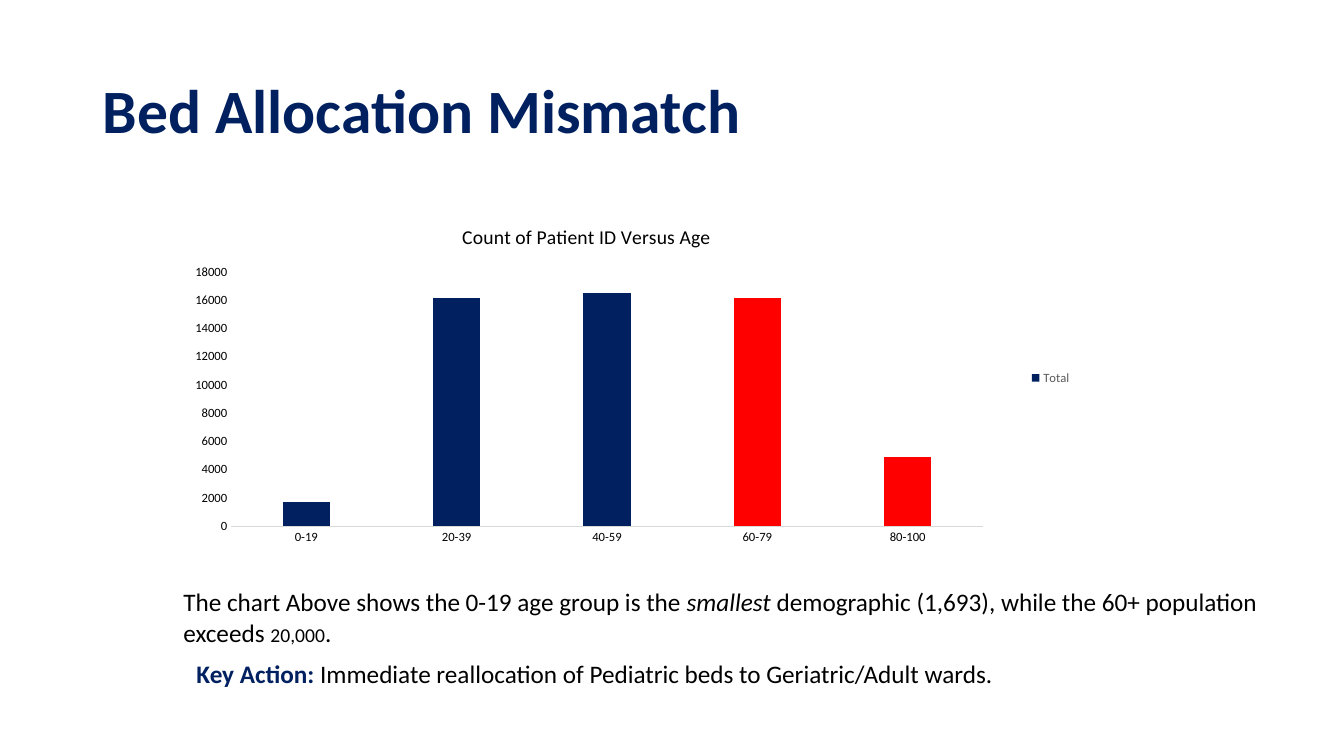
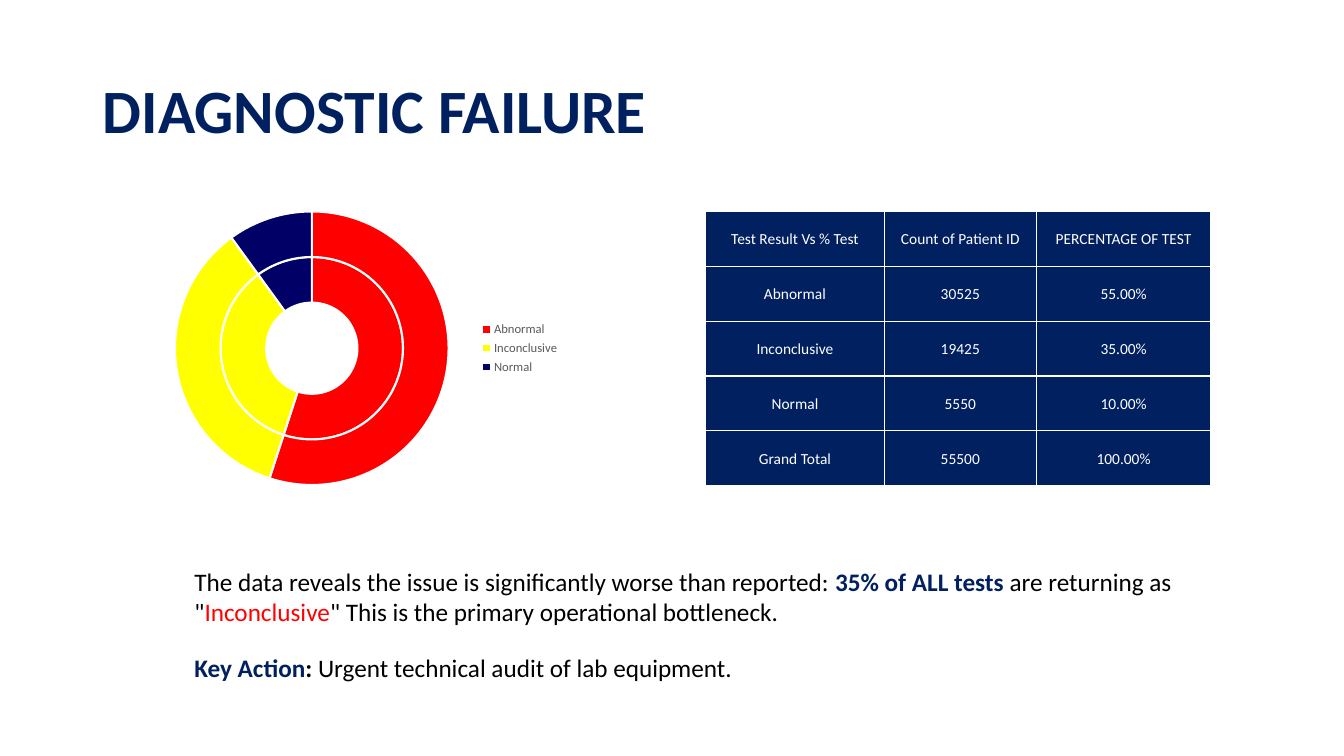
"""Builds two slides on hospital bed allocation and diagnostic results."""
from dataclasses import dataclass

from lxml import etree
from pptx import Presentation
from pptx.chart.data import CategoryChartData
from pptx.dml.color import RGBColor
from pptx.enum.chart import XL_CHART_TYPE, XL_LEGEND_POSITION, XL_TICK_MARK
from pptx.enum.text import MSO_ANCHOR, MSO_AUTO_SIZE, PP_ALIGN
from pptx.oxml import parse_xml
from pptx.oxml.ns import nsdecls, qn
from pptx.util import Inches, Pt

COLUMN = XL_CHART_TYPE.COLUMN_CLUSTERED
DOUGHNUT = XL_CHART_TYPE.DOUGHNUT
LEGEND_RIGHT = XL_LEGEND_POSITION.RIGHT
NO_TICK = XL_TICK_MARK.NONE
MIDDLE = MSO_ANCHOR.MIDDLE
LEFT, CENTER = PP_ALIGN.LEFT, PP_ALIGN.CENTER
NO_AUTOFIT, GROW = MSO_AUTO_SIZE.NONE, MSO_AUTO_SIZE.SHAPE_TO_FIT_TEXT
TITLE_ONLY = 5


@dataclass(frozen=True)
class Theme:
    """Colours, font and type sizes shared by the deck."""
    font: str = "Calibri"
    navy: str = "002060"
    indigo: str = "000066"
    red: str = "FF0000"
    yellow: str = "FFFF00"
    white: str = "FFFFFF"
    black: str = "000000"
    grey: str = "595959"
    rule: str = "D9D9D9"
    title: int = 44
    body: int = 18
    small: int = 14
    table: int = 11
    chart: int = 10
    label: int = 9


THEME = Theme()


def set_font(font, size=THEME.body, color=THEME.black, bold=False, italic=False):
    """Apply the deck font with the given format."""
    font.name, font.size = THEME.font, Pt(size)
    font.bold, font.italic = bold, italic
    font.color.rgb = RGBColor.from_string(color)


def write(para, text, **style):
    """Add a formatted span of text to a paragraph."""
    span = para.add_run()
    span.text = text
    set_font(span.font, **style)


def paint(fill, color):
    """Set a solid fill colour."""
    fill.solid()
    fill.fore_color.rgb = RGBColor.from_string(color)


def draw_line(line, color, width):
    """Set the colour and width of an outline."""
    line.color.rgb = RGBColor.from_string(color)
    line.width = Pt(width)


def add_page(deck, heading):
    """Add a slide with the shared title style."""
    page = deck.slides.add_slide(deck.slide_layouts[TITLE_ONLY])
    title = page.shapes.title
    title.left, title.top = Inches(0.92), Inches(0.4)
    title.width, title.height = Inches(11.5), Inches(1.45)
    frame = title.text_frame
    frame.auto_size, frame.vertical_anchor = NO_AUTOFIT, MIDDLE
    para = frame.paragraphs[0]
    para.alignment, para.line_spacing = LEFT, 0.9
    write(para, heading, size=THEME.title, color=THEME.navy, bold=True)
    return page


def add_remark(page, box, spans):
    """Place a paragraph made of (text, format) spans in a box."""
    frame = page.shapes.add_textbox(*map(Inches, box)).text_frame
    frame.word_wrap, frame.auto_size = True, GROW
    for text, style in spans:
        write(frame.paragraphs[0], text, **style)


def add_chart(page, box, kind, categories, series):
    """Place a chart with the shared font and a legend on the right."""
    data = CategoryChartData()
    data.categories = categories
    for name, values in series:
        data.add_series(name, values)
    chart = page.shapes.add_chart(kind, *map(Inches, box), data).chart
    set_font(chart.font, size=THEME.chart)
    chart.has_title = False
    chart.has_legend = True
    chart.legend.position = LEGEND_RIGHT
    chart.legend.include_in_layout = False
    set_font(chart.legend.font, size=THEME.label, color=THEME.grey)
    return chart


def set_layout(parent, **parts):
    """Give a chart part a manual layout in fractions of the chart."""
    layout = parent.find(qn("c:layout"))
    if layout is None:
        layout = parse_xml(f"<c:layout {nsdecls('c')}/>")
        text = parent.find(qn("c:tx"))
        parent.insert(0 if text is None else parent.index(text) + 1, layout)
    manual = etree.SubElement(layout, qn("c:manualLayout"))
    for tag, value in parts.items():
        etree.SubElement(manual, qn(f"c:{tag}")).set("val", str(value))


def add_age_chart(page, box):
    """Place the column chart of patients by age group."""
    ages = ["0-19", "20-39", "40-59", "60-79", "80-100"]
    counts = [1700, 16200, 16500, 16200, 4900]
    chart = add_chart(page, box, COLUMN, ages, [("Total", counts)])
    title = chart.chart_title
    write(title.text_frame.paragraphs[0], "Count of Patient ID Versus Age", size=THEME.small)
    set_layout(title._element, xMode="edge", yMode="edge", x=0.37, y=0.05)
    set_layout(chart._chartSpace.chart.plotArea, layoutTarget="inner", xMode="edge",
               yMode="edge", x=0.14, y=0.2, w=0.76, h=0.72)
    for axis in (chart.category_axis, chart.value_axis):
        axis.has_major_gridlines = False
        axis.major_tick_mark = axis.minor_tick_mark = NO_TICK
        set_font(axis.tick_labels.font, size=THEME.label)
    draw_line(chart.category_axis.format.line, THEME.rule, 0.75)
    scale = chart.value_axis
    scale.format.line.fill.background()
    scale.minimum_scale, scale.maximum_scale, scale.major_unit = 0, 18000, 2000
    plot = chart.plots[0]
    plot.vary_by_categories = False
    plot.gap_width, plot.overlap = 219, -27
    columns = plot.series[0]
    columns.invert_if_negative = False
    paint(columns.format.fill, THEME.navy)
    for index in (3, 4):
        paint(columns.points[index].format.fill, THEME.red)


def add_result_chart(page, box):
    """Place the two-ring doughnut of test results."""
    shares = [55, 35, 10]
    chart = add_chart(page, box, DOUGHNUT, ["Abnormal", "Inconclusive", "Normal"],
                      [("Series 1", shares), ("Series 2", shares)])
    plot = chart.plots[0]
    plot.has_data_labels = False
    plot.vary_by_categories = True
    plot._element.find(qn("c:holeSize")).set("val", "75")
    for ring in plot.series:
        for index, color in enumerate((THEME.red, THEME.yellow, THEME.indigo)):
            slice_format = ring.points[index].format
            paint(slice_format.fill, color)
            draw_line(slice_format.line, THEME.white, 1.5)


def format_cell(cell, text):
    """Write a centred table cell with white borders on navy."""
    properties = cell._tc.get_or_add_tcPr()
    for side in ("lnL", "lnR", "lnT", "lnB"):
        properties.append(parse_xml(
            f'<a:{side} {nsdecls("a")} w="{Pt(1)}"><a:solidFill>'
            f'<a:srgbClr val="{THEME.white}"/></a:solidFill></a:{side}>'))
    paint(cell.fill, THEME.navy)
    cell.vertical_anchor = MIDDLE
    cell.margin_left = cell.margin_right = cell.margin_top = Inches(0.01)
    cell.margin_bottom = 0
    para = cell.text_frame.paragraphs[0]
    para.alignment = CENTER
    write(para, text, size=THEME.table, color=THEME.white)


def add_result_table(page, box):
    """Place the table of test results and their shares."""
    rows = [
        ("Test Result Vs % Test", "Count of Patient ID", "PERCENTAGE OF TEST"),
        ("Abnormal", "30525", "55.00%"),
        ("Inconclusive", "19425", "35.00%"),
        ("Normal", "5550", "10.00%"),
        ("Grand Total", "55500", "100.00%"),
    ]
    table = page.shapes.add_table(len(rows), len(rows[0]), *map(Inches, box)).table
    table.first_row = table.horz_banding = False
    for column, width in zip(table.columns, (1.77, 1.51, 1.73)):
        column.width = Inches(width)
    for row_index, row in enumerate(rows):
        for column_index, text in enumerate(row):
            format_cell(table.cell(row_index, column_index), text)


def build_bed_page(deck):
    """Build the slide on bed allocation."""
    page = add_page(deck, "Bed Allocation Mismatch")
    add_age_chart(page, (0.92, 2, 9.81, 3.5))
    add_remark(page, (1.72, 5.77, 11.49, 0.71), [
        ("The chart Above shows the 0-19 age group is the ", {}),
        ("smallest", {"italic": True}),
        (" demographic (1,693), while the 60+ population exceeds ", {}),
        ("20,000", {"size": THEME.small}),
        (".", {}),
    ])
    add_remark(page, (1.85, 6.48, 8.55, 0.4), [
        ("Key Action: ", {"color": THEME.navy, "bold": True}),
        ("Immediate reallocation of Pediatric beds to Geriatric/Adult wards.", {}),
    ])


def build_diagnostic_page(deck):
    """Build the slide on diagnostic results."""
    page = add_page(deck, "DIAGNOSTIC FAILURE")
    add_result_chart(page, (1.44, 1.96, 4.21, 2.99))
    add_result_table(page, (7, 2.1, 5.01, 2.72))
    add_remark(page, (1.83, 5.57, 10.03, 0.72), [
        ("The data reveals the issue is significantly worse than reported: ", {}),
        ("35% of ALL tests ", {"color": THEME.navy, "bold": True}),
        ("are returning as \"", {}),
        ("Inconclusive", {"color": THEME.red}),
        ("\" This is the primary operational bottleneck.", {}),
    ])
    add_remark(page, (1.83, 6.42, 6.67, 0.4), [
        ("Key Action", {"color": THEME.navy, "bold": True}),
        (":", {"bold": True}),
        (" Urgent technical audit of lab equipment.", {}),
    ])


def main():
    """Build and save the deck."""
    deck = Presentation()
    deck.slide_width, deck.slide_height = Inches(13.33), Inches(7.5)
    build_bed_page(deck)
    build_diagnostic_page(deck)
    deck.save("out.pptx")


if __name__ == "__main__":
    main()
